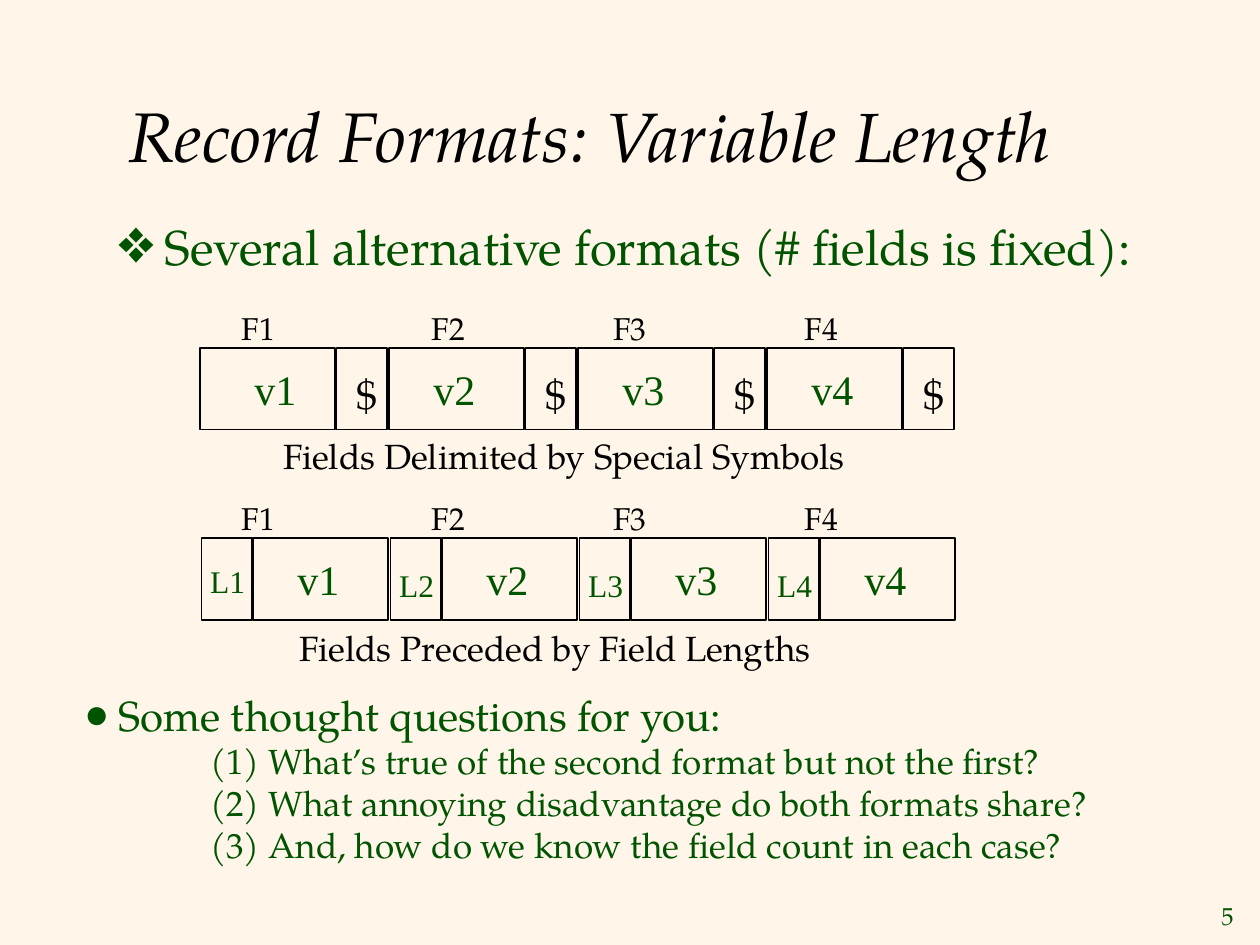
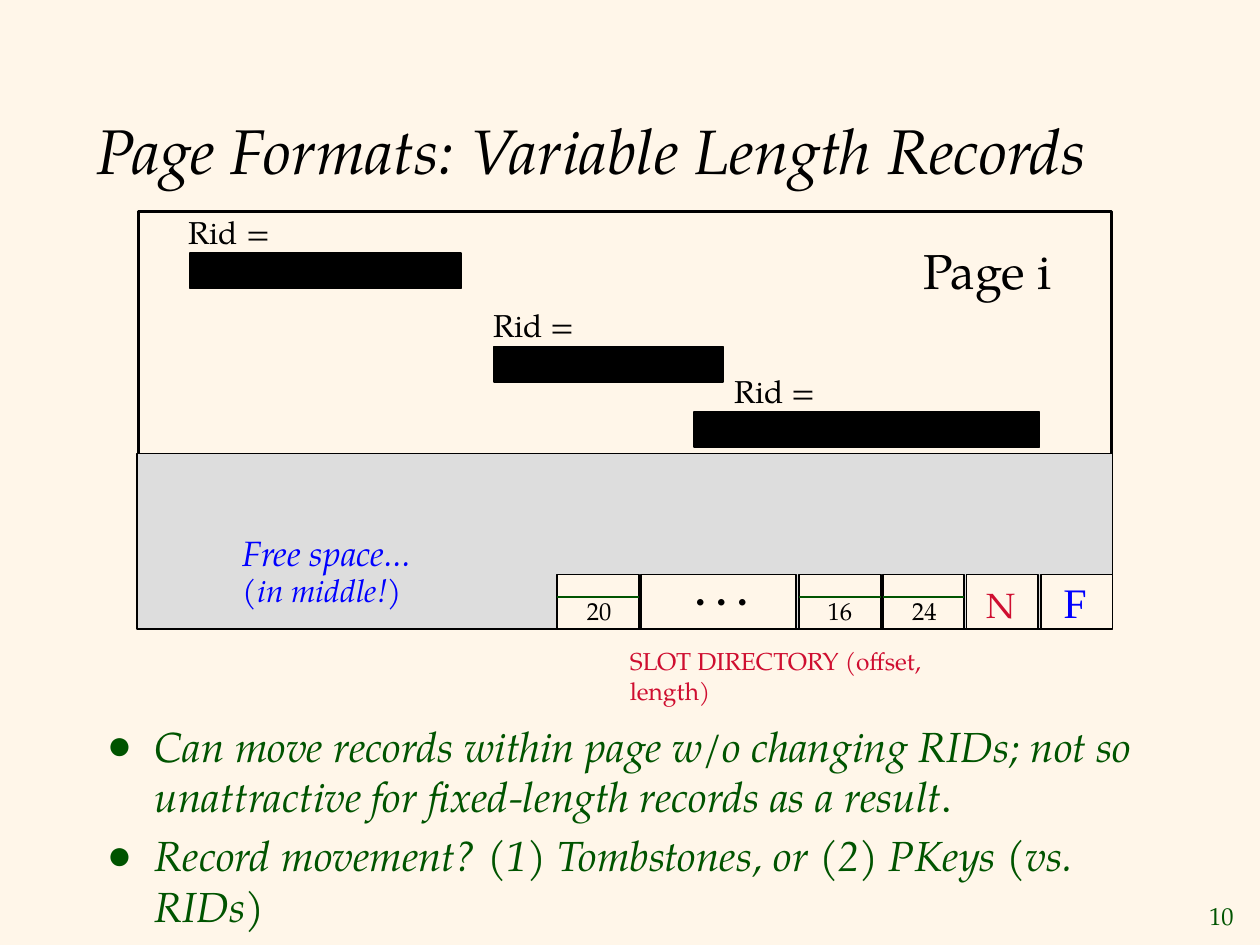
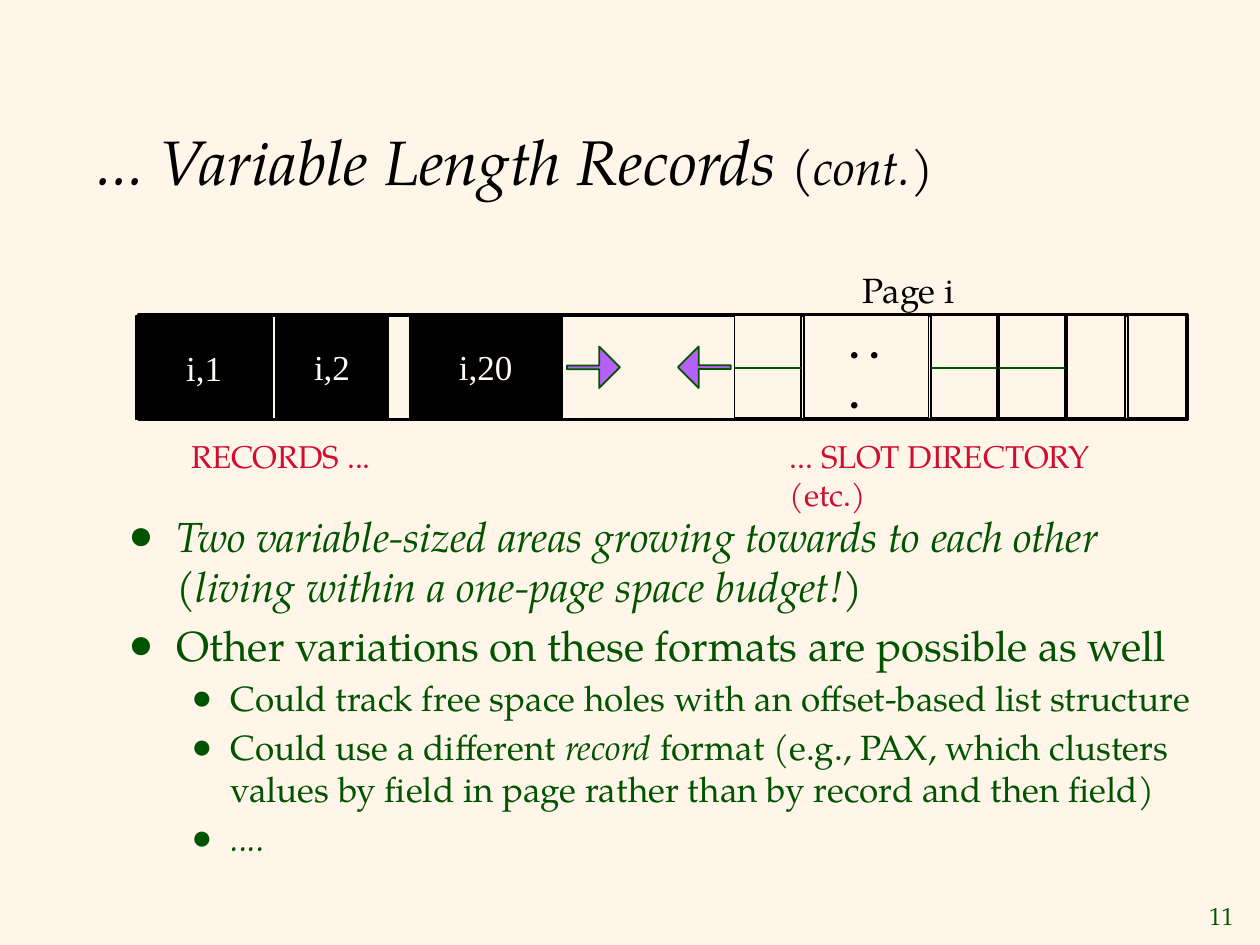
import pptx
import pptx.util
import pptx.dml.color
import pptx.enum.shapes
import pptx.enum.text
import pptx.oxml
import pptx.oxml.ns

Inches, Pt = pptx.util.Inches, pptx.util.Pt
RGBColor = pptx.dml.color.RGBColor
Preset = pptx.enum.shapes.MSO_SHAPE
Anchor = pptx.enum.text.MSO_ANCHOR
Align = pptx.enum.text.PP_ALIGN

# Shared look
CREAM = RGBColor(0xFF, 0xF6, 0xE9)
PALE = RGBColor(0xFF, 0xFA, 0xF2)
GREEN = RGBColor(0x00, 0x54, 0x00)
BLACK = RGBColor(0x00, 0x00, 0x00)
GRAY = RGBColor(0xDD, 0xDD, 0xDD)
RED = RGBColor(0xCF, 0x0E, 0x30)
BLUE = RGBColor(0x00, 0x00, 0xFF)
PURPLE = RGBColor(0xB7, 0x60, 0xF9)
SERIF, TIMES = "TeX Gyre Pagella", "Times New Roman"


def draw_box(page, left, top, width, height, preset=None, fill=None, line=BLACK, weight=1):
    """Add a text box, or an outlined shape when a preset is given."""
    at = [Inches(v) for v in (left, top, width, height)]
    if preset is None:
        box = page.shapes.add_textbox(*at)
    else:
        box = page.shapes.add_shape(preset, *at)
        box.shadow.inherit = False
        box.line.color.rgb = line
        box.line.width = Pt(weight)
        if fill is None:
            box.fill.background()
        else:
            box.fill.solid()
            box.fill.fore_color.rgb = fill
        box.text_frame.vertical_anchor = Anchor.MIDDLE
    box.text_frame.word_wrap = True
    return box


def write(box, spans, size, color=BLACK, font=SERIF, bold=False, italic=False,
          align=Align.LEFT, bullet=None, indent=0, hang=0, before=0):
    """Add a paragraph; spans is a text, or a list of (text, size, italic)."""
    frame = box.text_frame
    para = frame.paragraphs[0] if not frame.paragraphs[0].runs else frame.add_paragraph()
    para.alignment = align
    para.space_before = Pt(before)
    props = para._p.get_or_add_pPr()
    props.set("marL", str(Inches(indent)))
    props.set("indent", str(-Inches(hang)))
    if bullet:
        ns = pptx.oxml.ns.nsdecls("a")
        for xml in [f'<a:buClr {ns}><a:srgbClr val="{color}"/></a:buClr>',
                    f'<a:buFont {ns} typeface="{TIMES}"/>',
                    f'<a:buChar {ns} char="{bullet}"/>']:
            props.append(pptx.oxml.parse_xml(xml))
    for text, points, slanted in [(spans, size, italic)] if isinstance(spans, str) else spans:
        span = para.add_run()
        span.text = text
        span.font.name, span.font.size = font, Pt(points)
        span.font.bold, span.font.italic = bold, slanted
        span.font.color.rgb = color


# Deck, with the background, title and number of each page
deck = pptx.Presentation()
deck.slide_width, deck.slide_height = Inches(10), Inches(7.5)
titles = [
    (5, 0.92, 0.46, [("Record Formats: Variable Length", 40, True)]),
    (10, 0.67, 0.58, [("Page Formats: Variable Length Records", 36, True)]),
    (11, 0.67, 0.67, [("... Variable Length Records ", 36, True), ("(cont.)", 28, True)]),
]
for number, left, top, spans in titles:
    page = deck.slides.add_slide(deck.slide_layouts[6])
    page.background.fill.solid()
    page.background.fill.fore_color.rgb = CREAM
    box = draw_box(page, left, top, 8.5, 1.21)
    box.text_frame.vertical_anchor = Anchor.MIDDLE
    write(box, spans, 36)
    box = draw_box(page, 9.45, 7.1, 0.44, 0.33)
    box.text_frame.vertical_anchor = Anchor.MIDDLE
    write(box, str(number), 14, GREEN, align=Align.RIGHT)
record_page, slot_page, growth_page = deck.slides

# Record formats: heading and the captions of the two diagrams
write(draw_box(record_page, 0.83, 1.67, 8.5, 0.75),
      "Several alternative formats (# fields is fixed):", 28, GREEN,
      bullet="❖", indent=0.38, hang=0.38)
write(draw_box(record_page, 2.15, 3.4, 4.71, 0.43), "Fields Delimited by Special Symbols", 20)
write(draw_box(record_page, 2.28, 4.92, 4.3, 0.43), "Fields Preceded by Field Lengths", 20)

# Record formats: four fields, each with a delimiter after or a length before
PITCH, FIELD, MARK, RECORD_HEIGHT = 1.5, 1.07, 0.4, 0.65
DELIMITED, PRECEDED = 2.76, 4.27
for i, name_left in enumerate([1.82, 3.33, 4.77, 6.29]):
    left = 1.59 + i * PITCH
    for top, field_left, mark_left in [(DELIMITED, left, left + 1.08),
                                       (PRECEDED, left + 0.42, left + 0.01)]:
        write(draw_box(record_page, name_left, top - 0.36, 0.6, 0.4), f"F{i + 1}", 18)
        draw_box(record_page, mark_left, top, MARK, RECORD_HEIGHT, Preset.RECTANGLE)
        field = draw_box(record_page, field_left, top, FIELD, RECORD_HEIGHT, Preset.RECTANGLE)
        first = i == 0 and top == DELIMITED
        field.text_frame.margin_left = Inches(0.43 if first else 0.35)
        write(field, f"v{i + 1}", 24, GREEN, TIMES)
    write(draw_box(record_page, left + 1.14, 2.87, 0.36, 0.5), "$", 24)
    write(draw_box(record_page, left - 0.02, 4.44 if i else 4.41, 0.48, 0.4),
          f"L{i + 1}", 18, GREEN, TIMES)

# Record formats: questions
questions = draw_box(record_page, 0.57, 5.42, 8.43, 1.51)
write(questions, "Some thought questions for you:", 24, GREEN,
      bullet="●", indent=0.27, hang=0.27)
for text in ["(1) What’s true of the second format but not the first?",
             "(2) What annoying disadvantage do both formats share?",
             "(3) And, how do we know the field count in each case?"]:
    write(questions, text, 20, GREEN, indent=1)

# Page formats: page frame, records and free space
draw_box(slot_page, 1.1, 1.68, 7.72, 3.31, Preset.RECTANGLE, weight=2)
write(draw_box(slot_page, 7.23, 1.86, 1.25, 0.57), "Page i", 28)
for left, top, width, label_left in [(1.51, 2.01, 2.15, 1.4), (3.92, 2.75, 1.82, 3.82),
                                     (5.51, 3.27, 2.74, 5.73)]:
    draw_box(slot_page, left, top, width, 0.28, Preset.RECTANGLE, BLACK)
    write(draw_box(slot_page, label_left, top - 0.37, 1.29, 0.4), "Rid =", 18)
draw_box(slot_page, 1.09, 3.6, 7.74, 1.39, Preset.RECTANGLE, GRAY)
write(draw_box(slot_page, 1.83, 4.17, 2, 0.43), "Free space...", 20, BLUE, italic=True)
write(draw_box(slot_page, 1.83, 4.48, 2, 0.4), "(in middle!)", 18, BLUE, italic=True)

# Growing areas: page frame and records
draw_box(growth_page, 1.1, 2.5, 8.32, 0.83, Preset.RECTANGLE, weight=2)
write(draw_box(growth_page, 6.75, 2.08, 0.96, 0.43), "Page i", 20)
for left, top, width, text in [(1.08, 2.51, 1.08, "i,1"), (2.19, 2.5, 0.89, "i,2"),
                               (3.25, 2.5, 1.21, "i,20")]:
    write(draw_box(growth_page, left, top, width, 0.82, Preset.RECTANGLE, BLACK),
          text, 20, PALE, TIMES, align=Align.CENTER)

# Slot directories: slot, dots, slot, slot, then the cells N and F
SLOT_GAP = 0.02
for page, left, top, height, middle, widths in [
        (slot_page, 4.42, 4.56, 0.43, 4.74, [0.65, 1.23, 0.65, 0.64, 0.57, 0.57]),
        (growth_page, 5.83, 2.5, 0.82, 2.92, [0.53, 0.99, 0.52, 0.52, 0.46, 0.46])]:
    for i, width in enumerate(widths):
        draw_box(page, left, top, width, height, Preset.RECTANGLE, CREAM)
        if i in (0, 2, 3):
            divider = page.shapes.add_connector(
                pptx.enum.shapes.MSO_CONNECTOR.STRAIGHT, Inches(left), Inches(middle),
                Inches(left + width), Inches(middle))
            divider.line.color.rgb = GREEN
            divider.line.width = Pt(1)
            divider._element.spPr.append(pptx.oxml.parse_xml(
                f'<a:effectLst {pptx.oxml.ns.nsdecls("a")}/>'))
        left += width + SLOT_GAP
write(draw_box(slot_page, 5.42, 4.42, 0.62, 0.5), ". . .", 24, bold=True)
write(draw_box(growth_page, 6.64, 2.46, 0.5, 0.95), ". . .", 24, bold=True)

# Page formats: directory contents, caption and remarks
for left, text in [(4.56, "20"), (6.47, "16"), (7.14, "24")]:
    write(draw_box(slot_page, left, 4.68, 0.4, 0.33), text, 14)
write(draw_box(slot_page, 7.73, 4.58, 0.43, 0.43), "N", 20, RED)
write(draw_box(slot_page, 8.34, 4.53, 0.45, 0.5), "F", 24, BLUE, TIMES)
write(draw_box(slot_page, 4.9, 5.08, 3.18, 0.33), "SLOT DIRECTORY (offset, length)", 14, RED)
remarks = draw_box(slot_page, 0.75, 5.67, 8.75, 1.33)
write(remarks, [("Can move records within page w/o changing RIDs; not so unattractive for "
                 "fixed-length records as a result", 24, True), (".", 24, False)],
      24, GREEN, bullet="●", indent=0.38, hang=0.38)
write(remarks, "Record movement? (1) Tombstones, or (2) PKeys (vs. RIDs)", 24, GREEN,
      italic=True, bullet="●", indent=0.38, hang=0.38, before=4.8)

# Growing areas: arrows and captions
for left, turn in [(4.5, 180), (5.38, 0)]:
    arrow = draw_box(growth_page, left, 2.75, 0.42, 0.33, Preset.LEFT_ARROW, PURPLE, GREEN)
    arrow.adjustments[0], arrow.adjustments[1] = 0.09, 0.5
    arrow.rotation = turn
write(draw_box(growth_page, 6.17, 3.42, 3.22, 0.4), "... SLOT DIRECTORY (etc.)", 18, RED)
write(draw_box(growth_page, 1.42, 3.42, 1.65, 0.4), "RECORDS ...", 18, RED)

# Growing areas: remarks on two levels
remarks = draw_box(growth_page, 0.92, 4, 8.75, 1.33)
write(remarks, "Two variable-sized areas growing towards to each other "
      "(living within a one-page space budget!)", 24, GREEN, italic=True,
      bullet="●", indent=0.38, hang=0.38)
write(remarks, "Other variations on these formats are possible as well", 24, GREEN,
      bullet="●", indent=0.38, hang=0.38, before=4.8)
for spans in [
        [("Could track free space holes with an offset-based list structure", 20, False)],
        [("Could use a different ", 20, False), ("record", 20, True),
         (" format (e.g., PAX, which clusters values by field in page rather than "
          "by record and then field)", 20, False)],
        [("....", 20, True)]]:
    write(remarks, spans, 20, GREEN, bullet="●", indent=0.81, hang=0.31, before=4)

deck.save("out.pptx")
